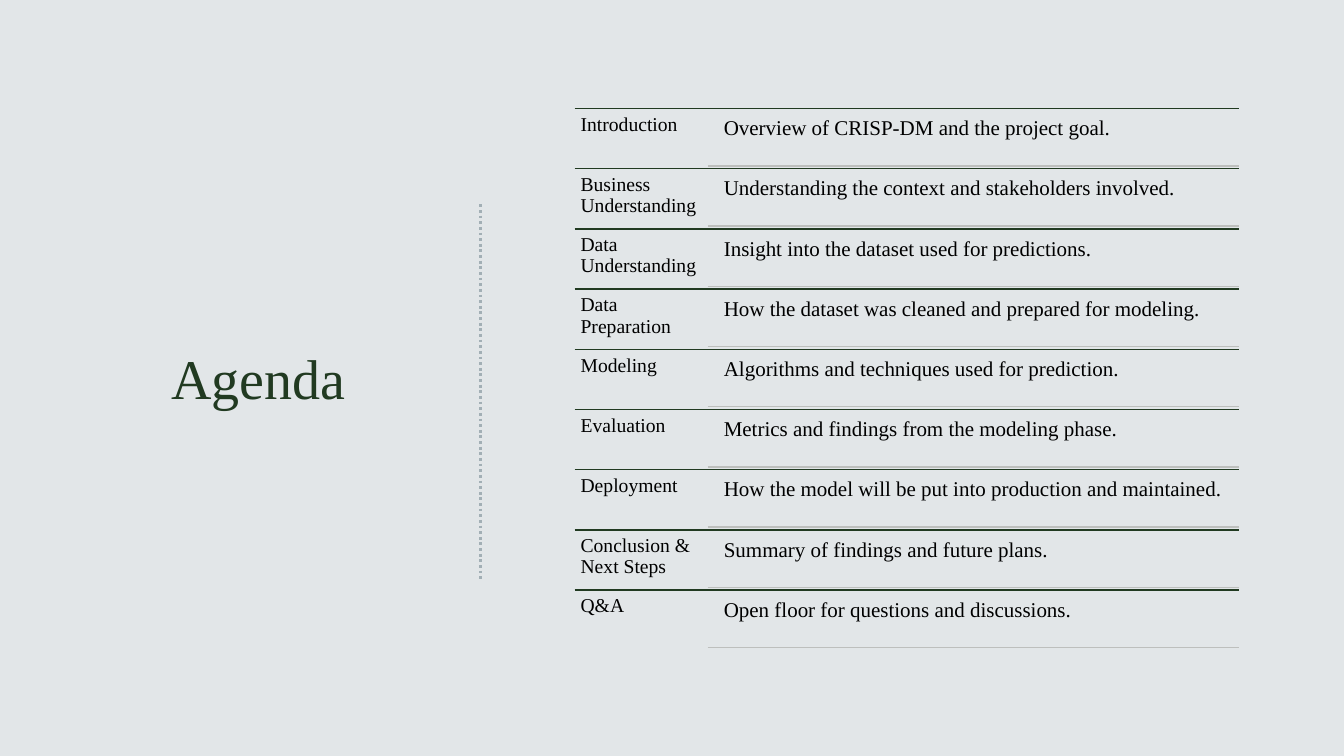
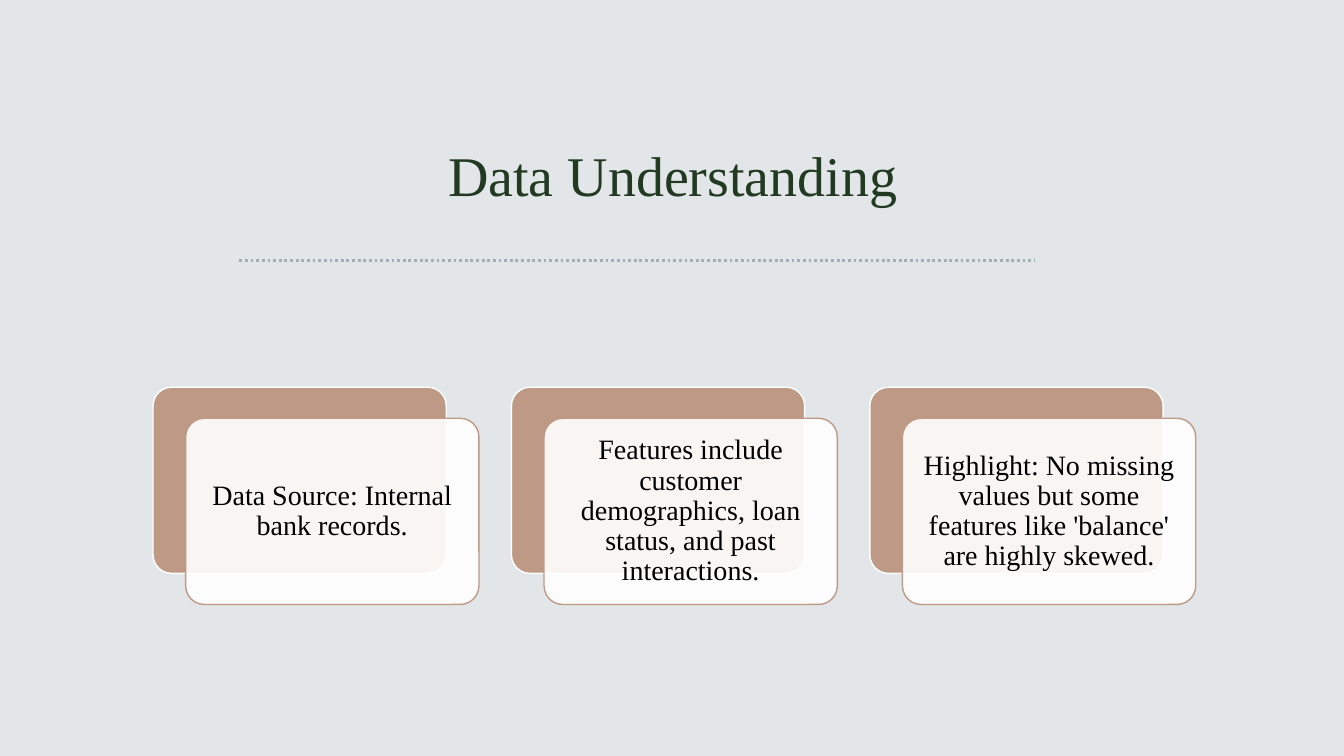
from lxml.etree import SubElement
from pptx import Presentation
from pptx.dml.color import RGBColor
from pptx.enum.dml import MSO_LINE as Dash
from pptx.enum.shapes import MSO_CONNECTOR as Conn, MSO_SHAPE as Shape
from pptx.enum.text import MSO_ANCHOR as Anchor, PP_ALIGN as Align
from pptx.oxml.ns import qn
from pptx.util import Pt

PAPER = RGBColor(0xE2, 0xE6, 0xE8)
GREEN = RGBColor(0x21, 0x3A, 0x21)
SLATE = RGBColor(0xA2, 0xAF, 0xB5)
GREY = RGBColor(0xBD, 0xBF, 0xBD)
CLAY = RGBColor(0xBE, 0x9A, 0x86)
WHITE = RGBColor(0xFF, 0xFF, 0xFF)
BLACK = RGBColor(0, 0, 0)
FONT = "Times New Roman"


def write(shape, text, size, color=BLACK, align=Align.LEFT, anchor=Anchor.TOP, inset=6, space=0.9):
    frame = shape.text_frame
    frame.text = text
    frame.word_wrap = True
    frame.vertical_anchor = anchor
    frame.margin_left = frame.margin_right = Pt(inset)
    frame.margin_top = frame.margin_bottom = Pt(inset)
    para = frame.paragraphs[0]
    para.alignment = align
    para.line_spacing = space
    font = para.runs[0].font
    font.name = FONT
    font.size = Pt(size)
    font.color.rgb = color


def rule(slide, x1, y1, x2, y2, color, width=1, dash=None):
    line = slide.shapes.add_connector(Conn.STRAIGHT, Pt(x1), Pt(y1), Pt(x2), Pt(y2))
    line.line.color.rgb = color
    line.line.width = Pt(width)
    line.line.dash_style = dash
    SubElement(line._element.spPr, qn("a:effectLst"))


deck = Presentation()
deck.slide_width, deck.slide_height = Pt(960), Pt(540)
back = deck.slide_master.background.fill
back.solid()
back.fore_color.rgb = PAPER

heads = [
    ("Agenda", (75, 124.5, 219, 290), (343.5, 146, 343.5, 414.5)),
    ("Data Understanding", (75.5, 74, 810, 101), (171, 186, 739.5, 186)),
]
slides = []
for text, box, dots in heads:
    slide = deck.slides.add_slide(deck.slide_layouts[5])
    title = slide.shapes.title
    title.left, title.top, title.width, title.height = [Pt(v) for v in box]
    write(title, text, 40, GREEN, Align.CENTER, Anchor.MIDDLE, space=1)
    rule(slide, *dots, SLATE, 2, Dash.ROUND_DOT)
    slides.append(slide)
agenda, data = slides

topics = [
    ("Introduction", "Overview of CRISP-DM and the project goal."),
    ("Business Understanding", "Understanding the context and stakeholders involved."),
    ("Data Understanding", "Insight into the dataset used for predictions."),
    ("Data Preparation", "How the dataset was cleaned and prepared for modeling."),
    ("Modeling", "Algorithms and techniques used for prediction."),
    ("Evaluation", "Metrics and findings from the modeling phase."),
    ("Deployment", "How the model will be put into production and maintained."),
    ("Conclusion & Next Steps", "Summary of findings and future plans."),
    ("Q&A", "Open floor for questions and discussions."),
]
LEFT, MID, RIGHT, TOP, ROW = 410.5, 505.5, 885, 77.5, 43
for i, (name, note) in enumerate(topics):
    y = TOP + i * ROW
    rule(agenda, LEFT, y, RIGHT, y, GREEN)
    label = agenda.shapes.add_textbox(Pt(LEFT), Pt(y), Pt(MID - LEFT), Pt(ROW))
    write(label, name, 14, inset=4.2)
    x = MID + 7
    body = agenda.shapes.add_textbox(Pt(x), Pt(y + 2), Pt(RIGHT - x), Pt(39))
    write(body, note, 15, inset=4.5)
    rule(agenda, MID, y + 41, RIGHT, y + 41, GREY)

facts = [
    "Data Source: Internal bank records.",
    "Features include customer demographics, loan status, and past interactions.",
    "Highlight: No missing values but some features like 'balance' are highly skewed.",
]
for i, fact in enumerate(facts):
    x = 109.3 + i * 256
    for dx, dy, fill, edge in [(0, 0, CLAY, WHITE), (23.3, 22.2, WHITE, CLAY)]:
        card = data.shapes.add_shape(
            Shape.ROUNDED_RECTANGLE, Pt(x + dx), Pt(276.6 + dy), Pt(209.5), Pt(133)
        )
        card.adjustments[0] = 0.1
        card.shadow.inherit = False
        card.fill.solid()
        card.fill.fore_color.rgb = fill
        card.line.color.rgb = edge
        card.line.width = Pt(1)
    tint = card._element.spPr.find(qn("a:solidFill"))[0]
    SubElement(tint, qn("a:alpha")).set("val", "90000")
    write(card, fact, 20, align=Align.CENTER, anchor=Anchor.MIDDLE)

deck.save("out.pptx")
